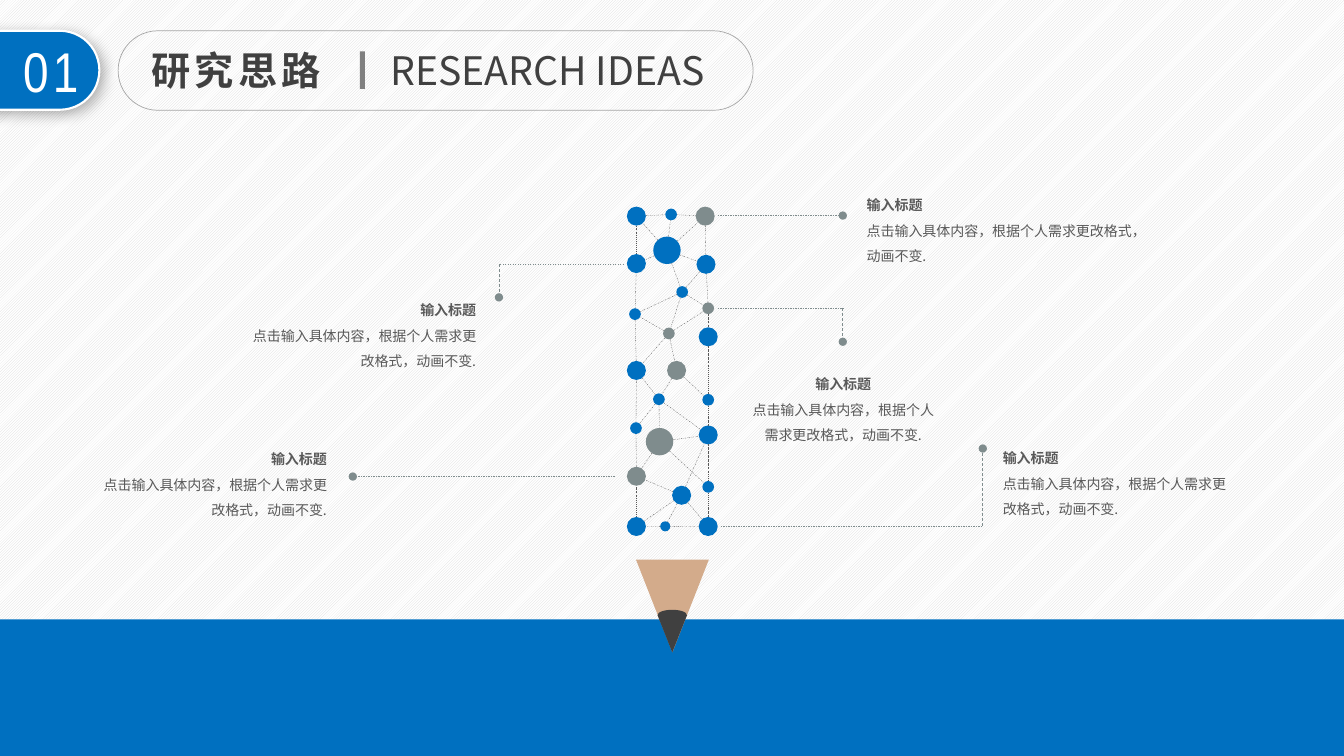
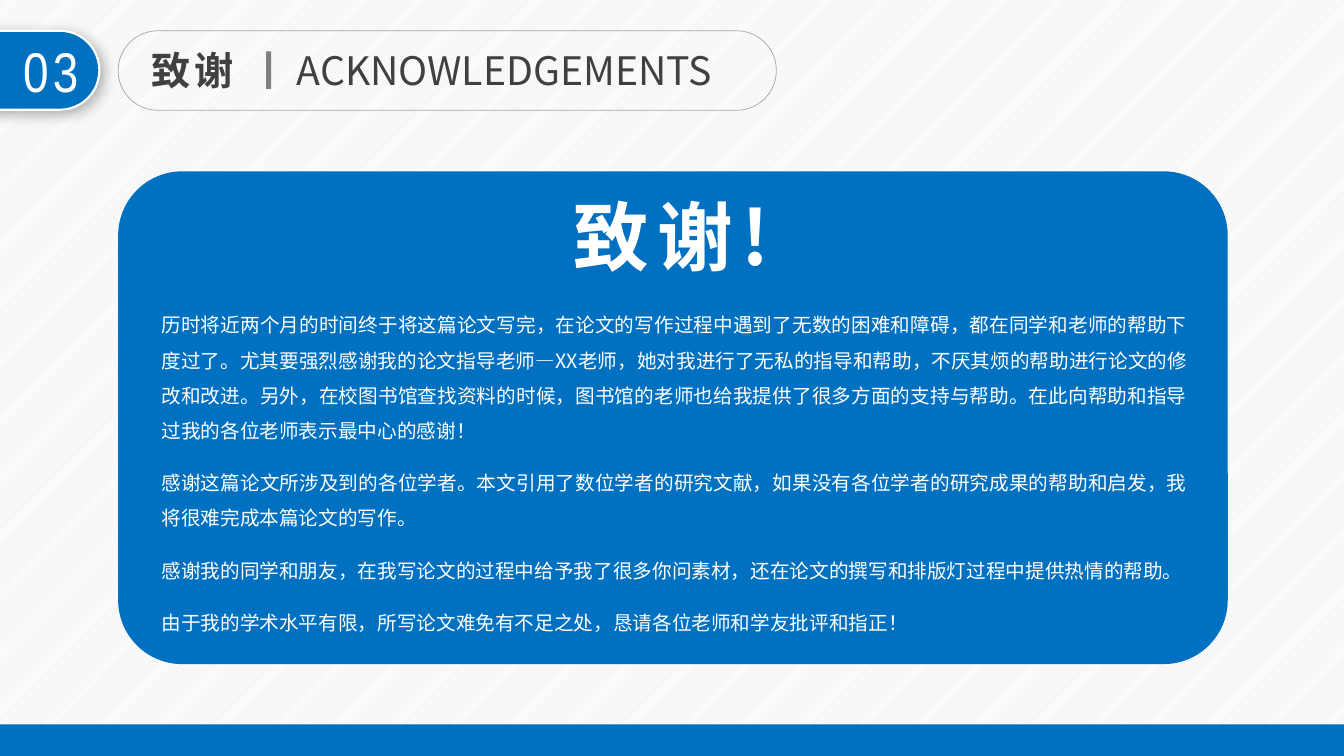
from dataclasses import dataclass
from itertools import pairwise
from math import hypot

from lxml import etree
from pptx import Presentation
from pptx.dml.color import RGBColor
from pptx.enum.dml import MSO_LINE, MSO_PATTERN
from pptx.enum.shapes import MSO_CONNECTOR, MSO_SHAPE
from pptx.enum.text import MSO_ANCHOR, PP_ALIGN
from pptx.oxml.ns import qn
from pptx.util import Pt

LEFT, CENTER, RIGHT, JUSTIFY = PP_ALIGN.LEFT, PP_ALIGN.CENTER, PP_ALIGN.RIGHT, PP_ALIGN.JUSTIFY
TOP, MIDDLE = MSO_ANCHOR.TOP, MSO_ANCHOR.MIDDLE
RECT, PILL, OVAL, TRIANGLE = (MSO_SHAPE.RECTANGLE, MSO_SHAPE.ROUNDED_RECTANGLE,
                              MSO_SHAPE.OVAL, MSO_SHAPE.ISOSCELES_TRIANGLE)
DASH, DASH_DOT = MSO_LINE.DASH, MSO_LINE.DASH_DOT
STRAIGHT = MSO_CONNECTOR.STRAIGHT
STRIPES = MSO_PATTERN.LIGHT_UPWARD_DIAGONAL


@dataclass(frozen=True)
class Theme:
    blue: str = "0070C0"
    gray: str = "7F8C8D"
    white: str = "FFFFFF"
    stripe: str = "D9D9D9"
    ink: str = "404040"
    text: str = "595959"
    outline: str = "A6A6A6"
    divider: str = "808080"
    wood: str = "D3AB8B"
    font: str = "Noto Sans CJK SC"
    number_font: str = "Arial Narrow"
    number: int = 40
    title: int = 28
    thanks: int = 54
    body: int = 14
    small: int = 10


THEME = Theme()
WIDTH, HEIGHT = 960, 540

IDEAS = dict(number="01", title="研究思路", english="RESEARCH IDEAS", pill=453.6, divider=257)
THANKS = dict(number="03", title="致谢", english="ACKNOWLEDGEMENTS", pill=470.2, divider=190)

CALLOUT_TITLE = "输入标题"
CALLOUT_TEXT = "点击输入具体内容，根据个人需求更改格式，动画不变."
CALLOUTS = [
    ((612, 131, 211), LEFT, [(512.6, 154), (602, 154)]),
    ((528.5, 259, 147.6), CENTER, [(512.6, 220.3), (602, 220.3), (602, 244.1)]),
    ((709.2, 311.8, 179.3), LEFT, [(514.8, 375.8), (702, 375.8), (702, 320.4)]),
    ((61.2, 312.5, 179.3), RIGHT, [(439.2, 340.4), (252, 340.4)]),
    ((167.8, 206, 179.3), RIGHT, [(445.7, 188.8), (356.4, 188.8), (356.4, 212.4)]),
]

TINY, SMALL, MEDIUM, LARGE = 7.2, 8.4, 13.6, 19.6
B, G = THEME.blue, THEME.gray
NODES = {
    "L1": (454.6, 154.4, MEDIUM, B), "L2": (454.6, 188.3, MEDIUM, B),
    "L3": (453.6, 224.4, SMALL, B), "L4": (454.6, 264.6, MEDIUM, B),
    "L5": (454.3, 305.8, SMALL, B), "L6": (454.6, 340.2, MEDIUM, G),
    "L7": (454.6, 376.1, MEDIUM, B), "T": (479.4, 153.2, SMALL, B),
    "R1": (503.7, 154.4, MEDIUM, G), "R2": (504.3, 188.8, MEDIUM, B),
    "R3": (505.9, 220.2, SMALL, G), "R4": (505.9, 240.6, MEDIUM, B),
    "R5": (505.9, 285.6, SMALL, B), "R6": (505.9, 310.7, MEDIUM, B),
    "R7": (505.9, 347.8, SMALL, B), "R8": (505.9, 376.1, MEDIUM, B),
    "B": (475.2, 376, TINY, B), "M1": (476.4, 178.8, LARGE, B),
    "M2": (487.3, 208.6, SMALL, B), "M3": (477.8, 238.2, SMALL, G),
    "M4": (483.3, 264.6, MEDIUM, G), "M5": (470.7, 285.2, SMALL, B),
    "M6": (471.1, 315.5, LARGE, G), "M7": (486.9, 353.8, MEDIUM, B),
}
OUTLINE = "L1 T R1 R2 R3 R4 R5 R6 R7 R8 B L7 L6 L5 L4 L3 L2 L1".split()
INNER_LINKS = {
    "M1": "L1 T R1 R2 L2 M2", "M2": "L3 M3 R3 R2", "M3": "L3 L4 M4 R3",
    "M4": "M5 R5", "M5": "L4 L5 M6 R6", "M6": "L6 R6 R7", "M7": "L6 L7 B R8 R6",
}
PENCIL = [
    (TRIANGLE, (454.3, 399.8, 52, 66.2), THEME.wood),
    (TRIANGLE, (469.6, 439.2, 21.2, 26.8), THEME.ink),
    (OVAL, (470, 435.6, 20.4, 6.8), THEME.ink),
]

THANKS_HEADING = "致谢!"
THANKS_BODY = [
    "历时将近两个月的时间终于将这篇论文写完，在论文的写作过程中遇到了无数的困难和障碍，都在同学和老师的帮助下度过了。尤其要强烈感谢我的论文指导老师—XX老师，她对我进行了无私的指导和帮助，不厌其烦的帮助进行论文的修改和改进。另外，在校图书馆查找资料的时候，图书馆的老师也给我提供了很多方面的支持与帮助。在此向帮助和指导过我的各位老师表示最中心的感谢！",
    "感谢这篇论文所涉及到的各位学者。本文引用了数位学者的研究文献，如果没有各位学者的研究成果的帮助和启发，我将很难完成本篇论文的写作。",
    "感谢我的同学和朋友，在我写论文的过程中给予我了很多你问素材，还在论文的撰写和排版灯过程中提供热情的帮助。",
    "由于我的学术水平有限，所写论文难免有不足之处，恳请各位老师和学友批评和指正！",
]


def rgb(color):
    return RGBColor.from_string(color)


def points(values):
    return [Pt(value) for value in values]


def add_text(slide, box, paragraphs, *, size, color, font=THEME.font, bold=(), align=LEFT,
             anchor=TOP, line_spacing=1, gap=0, tracking=0):
    frame = slide.shapes.add_textbox(*points(box)).text_frame
    frame.word_wrap = True
    frame.vertical_anchor = anchor
    for index, content in enumerate(paragraphs):
        paragraph = frame.paragraphs[0] if index == 0 else frame.add_paragraph()
        paragraph.alignment = align
        paragraph.line_spacing = line_spacing
        paragraph.space_before = Pt(gap if index else 0)
        run = paragraph.add_run()
        run.text = content
        run.font.size = Pt(size)
        run.font.bold = index in bold
        run.font.name = font
        run.font.color.rgb = rgb(color)
        properties = run.font._element
        etree.SubElement(properties, qn("a:ea"), typeface=font)
        if tracking:
            properties.set("spc", str(tracking * 100))


def add_shape(slide, kind, box, fill=None, line=None, line_width=1, corner=None):
    shape = slide.shapes.add_shape(kind, *points(box))
    shape.shadow.inherit = False
    if fill:
        shape.fill.solid()
        shape.fill.fore_color.rgb = rgb(fill)
    else:
        shape.fill.background()
    if line:
        shape.line.color.rgb = rgb(line)
        shape.line.width = Pt(line_width)
    else:
        shape.line.fill.background()
    if corner is not None:
        shape.adjustments[0] = corner
    return shape


def add_line(slide, start, end, color, width, dash, dot=False):
    connector = slide.shapes.add_connector(STRAIGHT, *points((*start, *end)))
    connector.line.color.rgb = rgb(color)
    connector.line.width = Pt(width)
    connector.line.dash_style = dash
    properties = connector._element.spPr
    if dot:
        etree.SubElement(properties.find(qn("a:ln")), qn("a:tailEnd"), type="oval")
    etree.SubElement(properties, qn("a:effectLst"))


def add_soft_shadow(shape):
    effects = shape._element.spPr.find(qn("a:effectLst"))
    shadow = etree.SubElement(effects, qn("a:outerShdw"), blurRad=str(Pt(10)), dist=str(Pt(4)),
                              dir="2700000", algn="tl", rotWithShape="0")
    black = etree.SubElement(shadow, qn("a:srgbClr"), val="000000")
    etree.SubElement(black, qn("a:alpha"), val="30000")


def add_band(slide, top):
    add_shape(slide, RECT, (0, top, WIDTH, HEIGHT - top), THEME.blue)


def add_header(slide, number, title, english, pill, divider):
    badge = add_shape(slide, PILL, (-81, 22, 152, 56.4), THEME.blue, THEME.white, 1.5, 0.5)
    add_soft_shadow(badge)
    add_text(slide, (1.4, 22.3, 69.8, 55.4), [number], size=THEME.number, color=THEME.white,
             font=THEME.number_font, align=CENTER, tracking=3)
    add_shape(slide, PILL, (84.4, 22, pill, 56.8), line=THEME.outline, line_width=0.5, corner=0.5)
    heading = dict(size=THEME.title, color=THEME.ink)
    add_text(slide, (101.2, 29.5, 150, 41), [title], bold=(0,), tracking=3, **heading)
    add_shape(slide, RECT, (divider, 36.7, 3.6, 26.8), THEME.divider)
    add_text(slide, (divider + 15, 29.5, 340, 41), [english], **heading)


def add_link(slide, first, second):
    x1, y1, size1, _ = NODES[first]
    x2, y2, size2, _ = NODES[second]
    distance = hypot(x2 - x1, y2 - y1)
    unit_x, unit_y = (x2 - x1) / distance, (y2 - y1) / distance
    start = x1 + unit_x * size1 / 2, y1 + unit_y * size1 / 2
    end = x2 - unit_x * size2 / 2, y2 - unit_y * size2 / 2
    add_line(slide, start, end, THEME.text, 0.25, DASH_DOT)


def add_pencil(slide):
    for kind, box, color in PENCIL:
        part = add_shape(slide, kind, box, color)
        if kind == TRIANGLE:
            part.rotation = 180
    for x, y, size, color in NODES.values():
        add_shape(slide, OVAL, (x - size / 2, y - size / 2, size, size), color)
    for first, second in pairwise(OUTLINE):
        add_link(slide, first, second)
    for center, neighbours in INNER_LINKS.items():
        for neighbour in neighbours.split():
            add_link(slide, center, neighbour)


def add_callout(slide, place, align, leader):
    for start, end in pairwise(leader):
        width = 0.5 if start[0] == end[0] else 0.25
        add_line(slide, start, end, THEME.gray, width, DASH, dot=end == leader[-1])
    add_text(slide, (*place, 62), [CALLOUT_TITLE, CALLOUT_TEXT], size=THEME.small,
             color=THEME.text, bold=(0,), align=align, line_spacing=1.5)


def build_ideas(slide):
    add_band(slide, 442.4)
    add_pencil(slide)
    for callout in CALLOUTS:
        add_callout(slide, *callout)
    add_header(slide, **IDEAS)


def build_thanks(slide):
    add_header(slide, **THANKS)
    add_band(slide, 517.4)
    add_shape(slide, PILL, (84.4, 122.4, 792.6, 352), THEME.blue, corner=0.13)
    add_text(slide, (108.3, 193.7, 747, 280.8), THANKS_BODY, size=THEME.body, color=THEME.white,
             align=JUSTIFY, anchor=MIDDLE, line_spacing=1.5, gap=12)
    add_text(slide, (402.5, 131.8, 175, 72.7), [THANKS_HEADING], size=THEME.thanks,
             color=THEME.white, bold=(0,), tracking=6)


def main():
    deck = Presentation()
    deck.slide_width, deck.slide_height = Pt(WIDTH), Pt(HEIGHT)
    background = deck.slide_master.background.fill
    background.patterned()
    background.pattern = STRIPES
    background.fore_color.rgb = rgb(THEME.stripe)
    background.back_color.rgb = rgb(THEME.white)
    for build in (build_ideas, build_thanks):
        build(deck.slides.add_slide(deck.slide_layouts[6]))
    deck.save("out.pptx")


if __name__ == "__main__":
    main()
